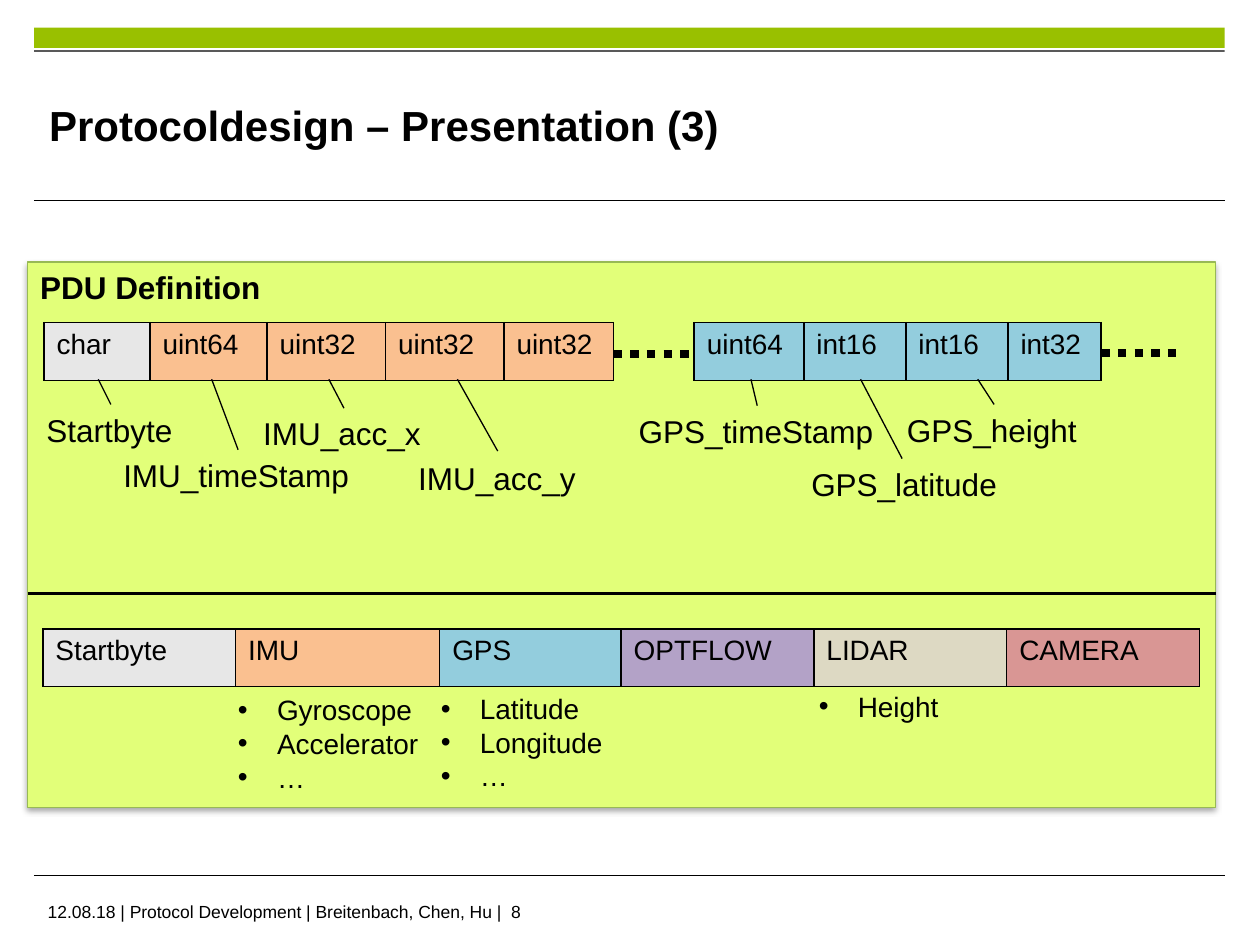
from lxml.etree import SubElement
from pptx import Presentation
from pptx.dml.color import RGBColor
from pptx.enum.dml import MSO_LINE
from pptx.enum.shapes import MSO_CONNECTOR, MSO_SHAPE
from pptx.enum.text import MSO_ANCHOR, MSO_AUTO_SIZE, PP_ALIGN
from pptx.oxml import parse_xml
from pptx.oxml.ns import nsdecls, qn
from pptx.util import Inches, Pt

COLORS = {
    "black": "000000", "bar": "99C000", "panel": "E2FF79", "edge": "98B955",
    "start": "E7E7E7", "imu": "FAC090", "gps": "93CDDD",
    "flow": "B3A2C7", "lidar": "DDD9C3", "camera": "D99694",
}


def color(name):
    return RGBColor.from_string(COLORS[name])


def write(tf, text, size=18, bold=False, font="Arial", bullet=False):
    """Write text into a frame, one paragraph per line."""
    for i, line in enumerate(text.split("\n")):
        p = tf.paragraphs[0] if i == 0 else tf.add_paragraph()
        p.alignment = PP_ALIGN.LEFT
        r = p.add_run()
        r.text = line
        r.font.size, r.font.bold, r.font.name = Pt(size), bold, font
        r.font.color.rgb = color("black")
        if bullet:
            pPr = p._p.get_or_add_pPr()
            pPr.set("marL", str(Inches(0.31)))
            pPr.set("indent", str(Inches(-0.31)))
            SubElement(pPr, qn("a:buFont"), typeface="Arial")
            SubElement(pPr, qn("a:buChar"), char="•")


class SlideBuilder:
    def __init__(self, slide):
        self.shapes = slide.shapes

    def rect(self, x, y, w, h, fill, edge=None):
        sp = self.shapes.add_shape(MSO_SHAPE.RECTANGLE, Inches(x), Inches(y), Inches(w), Inches(h))
        sp.fill.solid()
        sp.fill.fore_color.rgb = color(fill)
        if edge:
            sp.line.color.rgb = color(edge)
            sp.line.width = Pt(0.75)
        else:
            sp.line.fill.background()
        sp.shadow.inherit = False
        return sp

    def shadow(self, sp, blur=3.1, dist=1.8, alpha=35):
        effects = sp._element.spPr.find(qn("a:effectLst"))
        effects.append(parse_xml(
            f'<a:outerShdw {nsdecls("a")} blurRad="{Pt(blur)}" dist="{Pt(dist)}" dir="5400000" '
            f'rotWithShape="0"><a:srgbClr val="{COLORS["black"]}">'
            f'<a:alpha val="{alpha * 1000}"/></a:srgbClr></a:outerShdw>'))

    def line(self, x1, y1, x2, y2, width=0.75, dash=None):
        ln = self.shapes.add_connector(MSO_CONNECTOR.STRAIGHT, Inches(x1), Inches(y1), Inches(x2), Inches(y2))
        ln.line.color.rgb = color("black")
        ln.line.width = Pt(width)
        if dash:
            ln.line.dash_style = dash
        SubElement(ln._element.spPr, qn("a:effectLst"))

    def text(self, x, y, w, h, text, wrap=False, inset=True, anchor=MSO_ANCHOR.TOP, **fmt):
        tf = self.shapes.add_textbox(Inches(x), Inches(y), Inches(w), Inches(h)).text_frame
        tf.word_wrap = wrap
        tf.auto_size = MSO_AUTO_SIZE.NONE if wrap else MSO_AUTO_SIZE.SHAPE_TO_FIT_TEXT
        tf.vertical_anchor = anchor
        if not inset:
            tf.margin_left = tf.margin_right = tf.margin_top = tf.margin_bottom = 0
        write(tf, text, **fmt)

    def fields(self, x, y, cells, h=0.46):
        """Draw a one-row table from (text, fill, width) cells."""
        total = sum(w for _, _, w in cells)
        table = self.shapes.add_table(1, len(cells), Inches(x), Inches(y), Inches(total), Inches(h)).table
        table.first_row = table.horz_banding = False
        table.rows[0].height = Inches(h)
        for i, (text, fill, w) in enumerate(cells):
            table.columns[i].width = Inches(w)
            cell = table.cell(0, i)
            write(cell.text_frame, text, size=16)
            cell.fill.solid()
            cell.fill.fore_color.rgb = color(fill)
            tcPr = cell._tc.get_or_add_tcPr()
            for k, side in enumerate("LRTB"):
                tcPr.insert(k, parse_xml(
                    f'<a:ln{side} {nsdecls("a")} w="{Pt(1)}"><a:solidFill>'
                    f'<a:srgbClr val="{COLORS["black"]}"/></a:solidFill></a:ln{side}>'))


prs = Presentation()
prs.slide_width, prs.slide_height = Inches(10), Inches(7.5)
s = SlideBuilder(prs.slides.add_slide(prs.slide_layouts[6]))

# Page frame, title and footer
s.rect(0.27, 0.22, 9.45, 0.16, "bar")
s.rect(0.27, 0.4, 9.45, 0.01, "black")
for y in (1.59, 6.95):
    s.line(0.27, y, 9.72, y, 0.6)
s.text(0.39, 0.53, 7.26, 0.92, "Protocoldesign – Presentation (3)",
       wrap=True, inset=False, anchor=MSO_ANCHOR.MIDDLE, size=24, bold=True)
s.text(0.28, 7.1, 8.11, 0.25, "12.08.18 | Protocol Development | Breitenbach, Chen, Hu |  8",
       wrap=True, size=10)

# Panel
panel = s.rect(0.22, 2.08, 9.43, 4.33, "panel", "edge")
s.shadow(panel)
panel.text_frame.word_wrap = True
panel.text_frame.vertical_anchor = MSO_ANCHOR.TOP
write(panel.text_frame, "PDU Definition", bold=True)
s.line(0.22, 4.71, 9.65, 4.71, 1.5)

# Field types, with dots for the fields left out
s.fields(0.35, 2.56, [("char", "start", 0.84), ("uint64", "imu", 0.93), ("uint32", "imu", 0.94),
                      ("uint32", "imu", 0.94), ("uint32", "imu", 0.87)])
s.fields(5.51, 2.56, [("uint64", "gps", 0.87), ("int16", "gps", 0.81),
                      ("int16", "gps", 0.81), ("int32", "gps", 0.74)])
for x, y in ((4.87, 2.81), (8.74, 2.8)):
    s.line(x, y, x + 0.64, y, 4.75, MSO_LINE.ROUND_DOT)

# Field names: label place and width, then leader from the field to the label
for name, x, y, w, x1, x2, y2 in (
    ("Startbyte", 0.27, 3.21, 1.21, 0.78, 0.88, 3.21),
    ("IMU_timeStamp", 0.88, 3.57, 2.01, 1.68, 1.89, 3.57),
    ("IMU_acc_x", 1.99, 3.24, 1.46, 2.61, 2.73, 3.24),
    ("IMU_acc_y", 3.22, 3.59, 1.46, 3.63, 3.95, 3.58),
    ("GPS_timeStamp", 4.97, 3.22, 2.08, 5.96, 6.01, 3.22),
    ("GPS_latitude", 6.34, 3.64, 1.69, 6.83, 7.16, 3.64),
    ("GPS_height", 7.1, 3.21, 1.56, 7.76, 7.89, 3.21),
):
    s.text(x, y, w, 0.4, name)
    s.line(x1, 3.01, x2, y2)

# Message blocks and their contents
s.fields(0.34, 4.99, [("Startbyte", "start", 1.53), ("IMU", "imu", 1.62), ("GPS", "gps", 1.44),
                      ("OPTFLOW", "flow", 1.53), ("LIDAR", "lidar", 1.53), ("CAMERA", "camera", 1.53)])
for x, y, w, h, items in (
    (1.79, 5.45, 1.65, 0.91, "Gyroscope\nAccelerator\n…"),
    (3.4, 5.44, 1.5, 0.91, "Latitude\nLongitude\n…"),
    (6.4, 5.42, 1.16, 0.37, "Height"),
):
    s.text(x, y, w, h, items, size=16, bullet=True)

prs.save("out.pptx")
